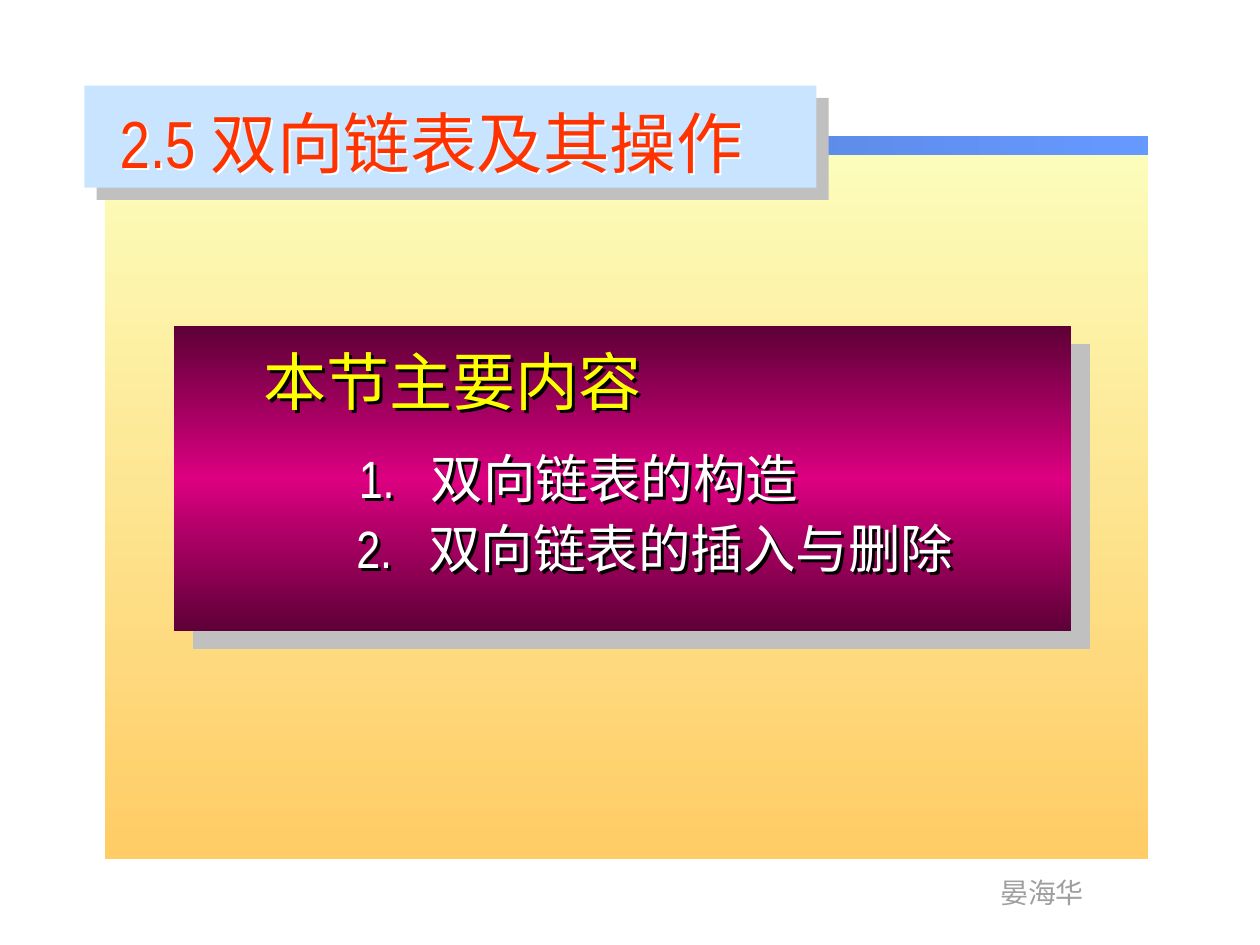
from copy import deepcopy
from math import hypot, atan2, degrees
from lxml.etree import SubElement
from pptx import Presentation
from pptx.dml.color import RGBColor
from pptx.enum.shapes import MSO_SHAPE
from pptx.enum.text import MSO_ANCHOR, MSO_AUTO_SIZE, PP_ALIGN
from pptx.oxml.ns import qn
from pptx.util import Inches, Pt

COLORS = {
    "cream": "FCFEBC", "amber": "FFCC66",
    "navy": "496DB6", "blue": "6699FF",
    "sky": "C9E4FF", "red": "FF3300",
    "plum": "5E0037", "pink": "DC0081",
    "yellow": "FFFF00", "white": "FFFFFF", "black": "000000",
    "silver": "C0C0C0", "gray": "9F9F9F",
}
LATIN = "Arial Narrow"
HAN = "Noto Sans CJK SC"


def rgb(name):
    return RGBColor.from_string(COLORS[name])


def cast(shape, color, right, down):
    props = shape._element.spPr
    for old in props.findall(qn("a:effectLst")):
        props.remove(old)
    effects = SubElement(props, qn("a:effectLst"))
    shadow = SubElement(
        effects, qn("a:outerShdw"), algn="ctr", rotWithShape="0",
        dist=str(Pt(hypot(right, down))),
        dir=str(round(degrees(atan2(down, right)) * 60000)))
    SubElement(shadow, qn("a:srgbClr"), val=COLORS[color])


def write(frame, text, size=30, color="white", hang=0, wrap=True):
    frame.word_wrap = wrap
    frame.auto_size = MSO_AUTO_SIZE.NONE
    frame.vertical_anchor = MSO_ANCHOR.TOP
    para = frame.paragraphs[0]
    para.alignment = PP_ALIGN.LEFT
    if hang:
        props = para._p.get_or_add_pPr()
        props.set("marL", str(Inches(hang)))
        props.set("indent", str(-Inches(hang)))
    run = para.add_run()
    run.text = text
    run.font.size = Pt(size)
    run.font.color.rgb = rgb(color)
    run.font.name = LATIN
    SubElement(run._r.get_or_add_rPr(), qn("a:ea"), typeface=HAN)


class Deck:
    def __init__(self, width, height):
        self.file = Presentation()
        self.file.slide_width = Inches(width)
        self.file.slide_height = Inches(height)
        self.slide = self.file.slides.add_slide(self.file.slide_layouts[5])
        self.shapes = self.slide.shapes

    def block(self, box, fills, angle=270, shade=None):
        shape = self.shapes.add_shape(MSO_SHAPE.RECTANGLE, *map(Inches, box))
        shape.line.fill.background()
        shape.shadow.inherit = False
        if len(fills) == 1:
            shape.fill.solid()
            shape.fill.fore_color.rgb = rgb(fills[0])
        else:
            self.blend(shape, fills, angle)
        if shade:
            cast(shape, "silver", *shade)

    def blend(self, shape, fills, angle):
        shape.fill.gradient()
        shape.fill.gradient_angle = angle
        stops = shape._element.spPr.find(".//" + qn("a:gsLst"))
        for _ in fills[2:]:
            stops.append(deepcopy(stops[0]))
        for i, stop in enumerate(shape.fill.gradient_stops):
            stop.position = i / (len(fills) - 1)
            stop.color.rgb = rgb(fills[i])

    def title(self, box, text, **style):
        shape = self.shapes.title
        shape.left, shape.top, shape.width, shape.height = map(Inches, box)
        write(shape.text_frame, text, **style)
        cast(shape, "white", 1.2, 1.2)
        self.shapes._spTree.append(shape._element)

    def label(self, box, text, shade=True, **style):
        shape = self.shapes.add_textbox(*map(Inches, box))
        write(shape.text_frame, text, **style)
        if shade:
            cast(shape, "black", 1.7, 1.7)

    def save(self):
        self.file.save("out.pptx")


def main():
    deck = Deck(10, 7.5)
    deck.block((0.83, 1.1, 8.28, 5.72), ["cream", "amber"])
    deck.block((0.84, 1.08, 8.27, 0.15), ["navy", "blue"], angle=0)
    deck.label((7.84, 6.9, 0.87, 0.37), "晏海华", shade=False,
               size=16, color="gray", wrap=False)

    deck.block((0.67, 0.68, 5.81, 0.81), ["sky"], shade=(7, 7))
    deck.title((0.85, 0.76, 6.1, 0.73), "2.5 双向链表及其操作",
               size=38, color="red")

    deck.block((1.38, 2.59, 7.12, 2.42), ["plum", "pink", "plum"],
               shade=(11, 10))
    deck.label((1.99, 2.67, 3.39, 0.71), "本节主要内容",
               size=36, color="yellow")
    deck.label((2.75, 3.49, 5.33, 0.6), "1.\t双向链表的构造", hang=0.57)
    deck.label((2.73, 4.05, 6.17, 0.6), "2.\t双向链表的插入与删除", hang=0.57)
    deck.save()


if __name__ == "__main__":
    main()
